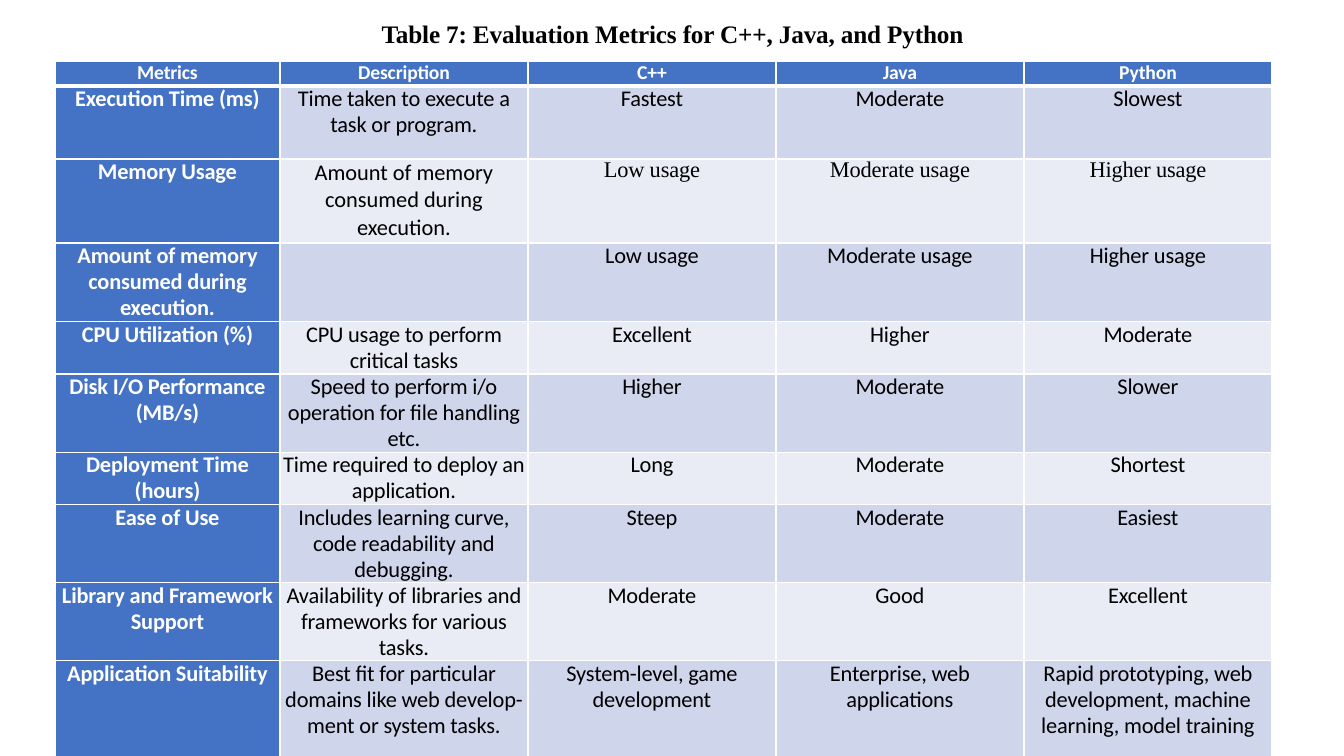
from lxml import etree
from pptx import Presentation
from pptx import util as u
from pptx.dml.color import RGBColor
from pptx.enum import text
from pptx.oxml.ns import qn

PX = 914400 / 100.8  # EMU in one px
COLORS = {"head": "4472C4", "odd": "CFD5EA", "even": "E9EBF5",
          "white": "FFFFFF", "black": "000000"}
SANS, SERIF = "Calibri", "Times New Roman"

TITLE = "Table 7: Evaluation Metrics for C++, Java, and Python"
TITLE_BOX = (93, 0, 1159, 146)
TABLE_BOX = (55, 61, 1217, 697)
COLUMN_WIDTHS = [225] + [248] * 4
ROW_HEIGHTS = [25, 73, 84, 79, 52, 78, 52, 78, 78, 98]
METRICS = [
    ("Metrics", "Description", "C++", "Java", "Python"),
    ("Execution Time (ms)", "Time taken to execute a task or program.",
     "Fastest", "Moderate", "Slowest"),
    ("Memory Usage", "Amount of memory consumed during execution.",
     "Low usage", "Moderate usage", "Higher usage"),
    ("Amount of memory consumed during execution.", "",
     "Low usage", "Moderate usage", "Higher usage"),
    ("CPU Utilization (%)", "CPU usage to perform critical tasks",
     "Excellent", "Higher", "Moderate"),
    ("Disk I/O Performance (MB/s)",
     "Speed to perform i/o operation for file handling etc.",
     "Higher", "Moderate", "Slower"),
    ("Deployment Time (hours)", "Time required to deploy an application.",
     "Long", "Moderate", "Shortest"),
    ("Ease of Use", "Includes learning curve, code readability and debugging.",
     "Steep", "Moderate", "Easiest"),
    ("Library and Framework Support",
     "Availability of libraries and frameworks for various tasks.",
     "Moderate", "Good", "Excellent"),
    ("Application Suitability",
     "Best fit for particular domains like web develop-ment or system tasks.",
     "System-level, game development", "Enterprise, web applications",
     "Rapid prototyping, web development, machine learning, model training"),
]
MEMORY_ROW = 2  # its description is set looser, its ratings in serif


def px(length):
    return u.Emu(round(length * PX))


def rgb(name):
    return RGBColor.from_string(COLORS[name])


def add_text(paragraph, words, size, font, color, bold, line_spacing, tracking=-10):
    paragraph.alignment = text.PP_ALIGN.CENTER
    paragraph.line_spacing = line_spacing
    run = paragraph.add_run()
    run.text = words
    run.font.size = u.Pt(size)
    run.font.name = font
    run.font.bold = bold
    run.font.color.rgb = rgb(color)
    run._r.get_or_add_rPr().set("spc", str(tracking))


def add_borders(cell, bottom_width):
    properties = cell._tc.get_or_add_tcPr()
    for side, width in (("L", 1), ("R", 1), ("T", 1), ("B", bottom_width)):
        line = etree.SubElement(properties, qn(f"a:ln{side}"), w=str(u.Pt(width)))
        fill = etree.SubElement(line, qn("a:solidFill"))
        etree.SubElement(fill, qn("a:srgbClr"), val=COLORS["white"])


def build_title(slide, box):
    title = slide.shapes.title
    title.left, title.top, title.width, title.height = map(px, box)
    frame = title.text_frame
    frame.word_wrap = True
    frame.auto_size = text.MSO_AUTO_SIZE.NONE
    frame.vertical_anchor = text.MSO_ANCHOR.TOP
    frame.margin_top = px(22)
    add_text(frame.paragraphs[0], TITLE, 18, SERIF, "black", True, 0.9)


def fill_cell(cell, row, column, words):
    is_head = row == 0 or column == 0
    is_memory_note = row == MEMORY_ROW and column == 1
    is_memory_rating = row == MEMORY_ROW and column > 1

    # Frame and background
    add_borders(cell, 3 if row == 0 else 1)
    cell.fill.solid()
    cell.fill.fore_color.rgb = rgb("head" if is_head else "odd" if row % 2 else "even")
    cell.margin_left = cell.margin_right = px(7 if is_memory_rating else 1)
    cell.margin_top = cell.margin_bottom = 0
    if not words:
        return

    # Wording
    paragraph = cell.text_frame.paragraphs[0]
    if not is_memory_note:
        paragraph.space_after = u.Pt(6)
    add_text(paragraph, words,
             size=14 if row == 0 else 16,
             font=SERIF if is_memory_rating else SANS,
             color="white" if is_head else "black",
             bold=is_head,
             line_spacing=1.0 if is_memory_note else 0.95,
             tracking=0 if is_memory_note else -10)


def build_metrics_table(slide, box):
    table = slide.shapes.add_table(len(METRICS), len(COLUMN_WIDTHS), *map(px, box)).table
    table.first_col = True
    for column, width in zip(table.columns, COLUMN_WIDTHS):
        column.width = px(width)
    for row, height in zip(table.rows, ROW_HEIGHTS):
        row.height = px(height)
    for row, entries in enumerate(METRICS):
        for column, words in enumerate(entries):
            fill_cell(table.cell(row, column), row, column, words)


def main():
    presentation = Presentation()
    presentation.slide_width, presentation.slide_height = px(1344), px(756)
    slide = presentation.slides.add_slide(presentation.slide_layouts[5])
    build_title(slide, TITLE_BOX)
    build_metrics_table(slide, TABLE_BOX)
    presentation.save("out.pptx")


if __name__ == "__main__":
    main()
